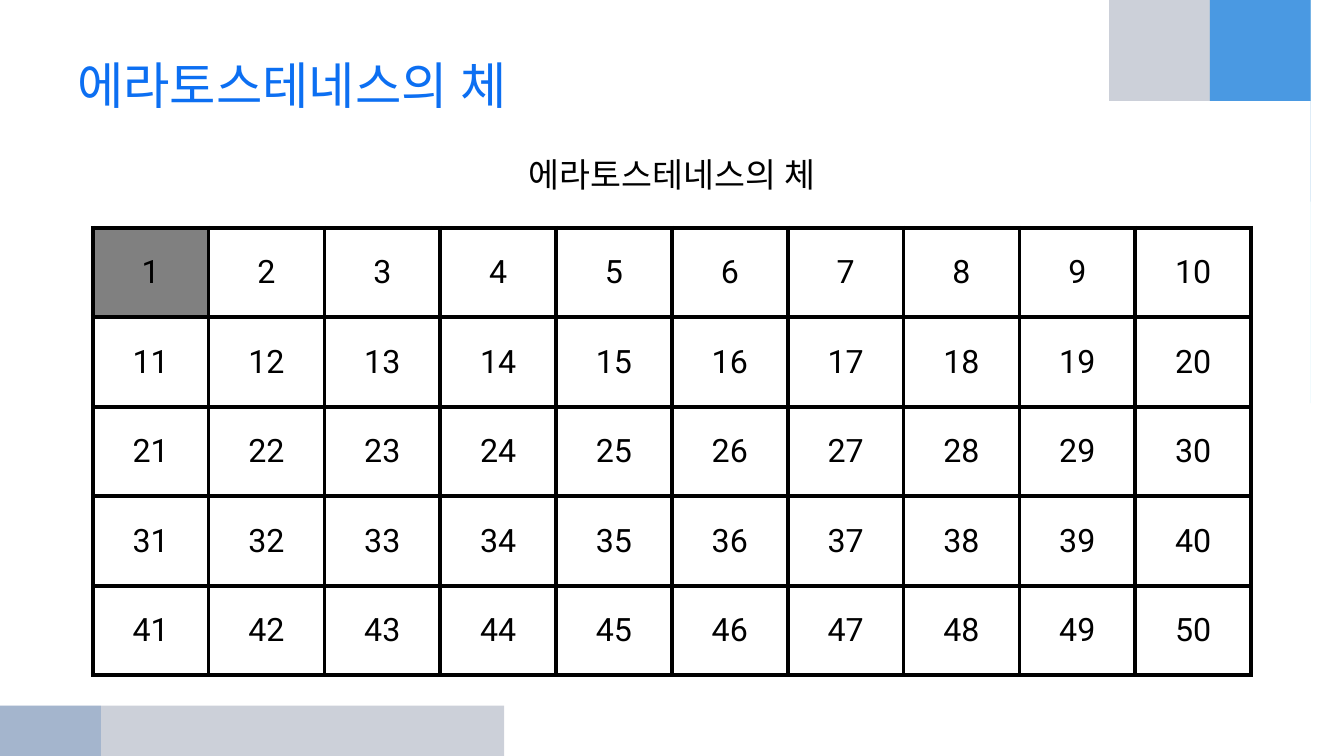
from pptx import Presentation, util as u
from pptx.dml.color import RGBColor
from pptx.enum import text
from pptx.oxml.ns import qn
from lxml import etree

TITLE = "에라토스테네스의 체"
CAPTION = "에라토스테네스의 체"
ROWS, COLUMNS = 5, 10
CROSSED_OUT = {1}

FONT = "Roboto"
COLORS = {
    "title": "0C6FF2", "ink": "000000", "open": "FFFFFF", "crossed": "808080",
    "cyan": "00B1E9", "navy": "021741", "blue": "247FF4", "steel": "084AA1",
}
WIDTH, HEIGHT = 13.33, 7.5
MARGIN = 0.05 * WIDTH
GRID_LEFT, GRID_TOP = 0.92, 2.26
CELL_WIDTH, CELL_HEIGHT = 1.149, 0.888

# Each sweep: tail, slide corner, tip, colour, opacity in percent
TOP_RIGHT, BOTTOM_LEFT = (WIDTH, 0), (0, HEIGHT)
SWEEPS = [
    ((WIDTH, 4.08), TOP_RIGHT, (11.89, 0), "cyan", 45),
    ((8.89, 0), TOP_RIGHT, (WIDTH, 2.15), "navy", 20),
    ((8.89, 0), TOP_RIGHT, (WIDTH, 1.55), "blue", 49),
    ((5, HEIGHT), BOTTOM_LEFT, (0, 6.08), "navy", 20),
    ((0, 4.58), BOTTOM_LEFT, (1.48, HEIGHT), "steel", 20),
]
# Bezier control points: (share of tail-to-corner, share of corner-to-tip)
BEND = [(0, 0), (0.45, 0.01), (0.9, 0.42), (1, 1)]
CURVE_STEPS = 48


def rgb(name):
    return RGBColor.from_string(COLORS[name])


def bezier(t, values):
    a, b, c, d = values
    s = 1 - t
    return a * s**3 + 3 * b * s * s * t + 3 * c * s * t * t + d * t**3


def add_sweep(slide, tail, corner, tip, color, opacity):
    """Fill the area between a slide corner and a curve from tail to tip."""
    outline = [corner]
    for step in range(CURVE_STEPS + 1):
        along, across = (bezier(step / CURVE_STEPS, axis) for axis in zip(*BEND))
        outline.append(tuple(
            start + along * (turn - start) + across * (end - turn)
            for start, turn, end in zip(tail, corner, tip)))
    builder = slide.shapes.build_freeform(*outline[0], scale=u.Inches(1))
    builder.add_line_segments(outline[1:], close=True)
    sweep = builder.convert_to_shape()
    sweep.shadow.inherit = False
    sweep.line.fill.background()
    sweep.fill.solid()
    sweep.fill.fore_color.rgb = rgb(color)
    tint = sweep.fill._xPr.find(".//" + qn("a:srgbClr"))
    etree.SubElement(tint, qn("a:alpha"), val=str(opacity * 1000))


def write(frame, words, size, color, align):
    frame.text = words
    paragraph = frame.paragraphs[0]
    paragraph.alignment = align
    run = paragraph.runs[0]
    run.font.size = u.Pt(size)
    run.font.name = FONT
    run.font.color.rgb = rgb(color)
    etree.SubElement(run.font._element, qn("a:ea"), typeface=FONT)
    return paragraph


def add_words(slide, top, height, anchor, *style):
    box = slide.shapes.add_textbox(
        *map(u.Inches, (MARGIN, top, WIDTH - 2 * MARGIN, height)))
    box.text_frame.word_wrap = True
    box.text_frame.vertical_anchor = anchor
    return write(box.text_frame, *style)


def add_borders(cell):
    properties = cell._tc.get_or_add_tcPr()
    for position, side in enumerate(("a:lnL", "a:lnR", "a:lnT", "a:lnB")):
        border = etree.Element(qn(side), w=str(u.Pt(3)))
        fill = etree.SubElement(border, qn("a:solidFill"))
        etree.SubElement(fill, qn("a:srgbClr"), val=COLORS["ink"])
        properties.insert(position, border)


def add_sieve(slide):
    sieve = slide.shapes.add_table(
        ROWS, COLUMNS, *map(u.Inches, (GRID_LEFT, GRID_TOP,
                                       COLUMNS * CELL_WIDTH, ROWS * CELL_HEIGHT))).table
    for number, cell in enumerate(sieve.iter_cells(), start=1):
        write(cell.text_frame, str(number), 23, "ink", text.PP_ALIGN.CENTER)
        cell.vertical_anchor = text.MSO_ANCHOR.MIDDLE
        cell.margin_left = cell.margin_right = u.Inches(0.13)
        cell.margin_top = cell.margin_bottom = u.Inches(0.06)
        cell.fill.solid()
        cell.fill.fore_color.rgb = rgb("crossed" if number in CROSSED_OUT else "open")
        add_borders(cell)


def main():
    deck = Presentation()
    deck.slide_width, deck.slide_height = u.Inches(WIDTH), u.Inches(HEIGHT)
    slide = deck.slides.add_slide(deck.slide_layouts[6])
    for sweep in SWEEPS:
        add_sweep(slide, *sweep)
    add_words(slide, 0.33, 1.01, text.MSO_ANCHOR.MIDDLE,
              TITLE, 36, "title", text.PP_ALIGN.LEFT)
    caption = add_words(slide, 1.48, 5.22, text.MSO_ANCHOR.TOP,
                        CAPTION, 24, "ink", text.PP_ALIGN.CENTER)
    caption.space_before = u.Pt(4.8)
    add_sieve(slide)
    deck.save("out.pptx")


if __name__ == "__main__":
    main()
